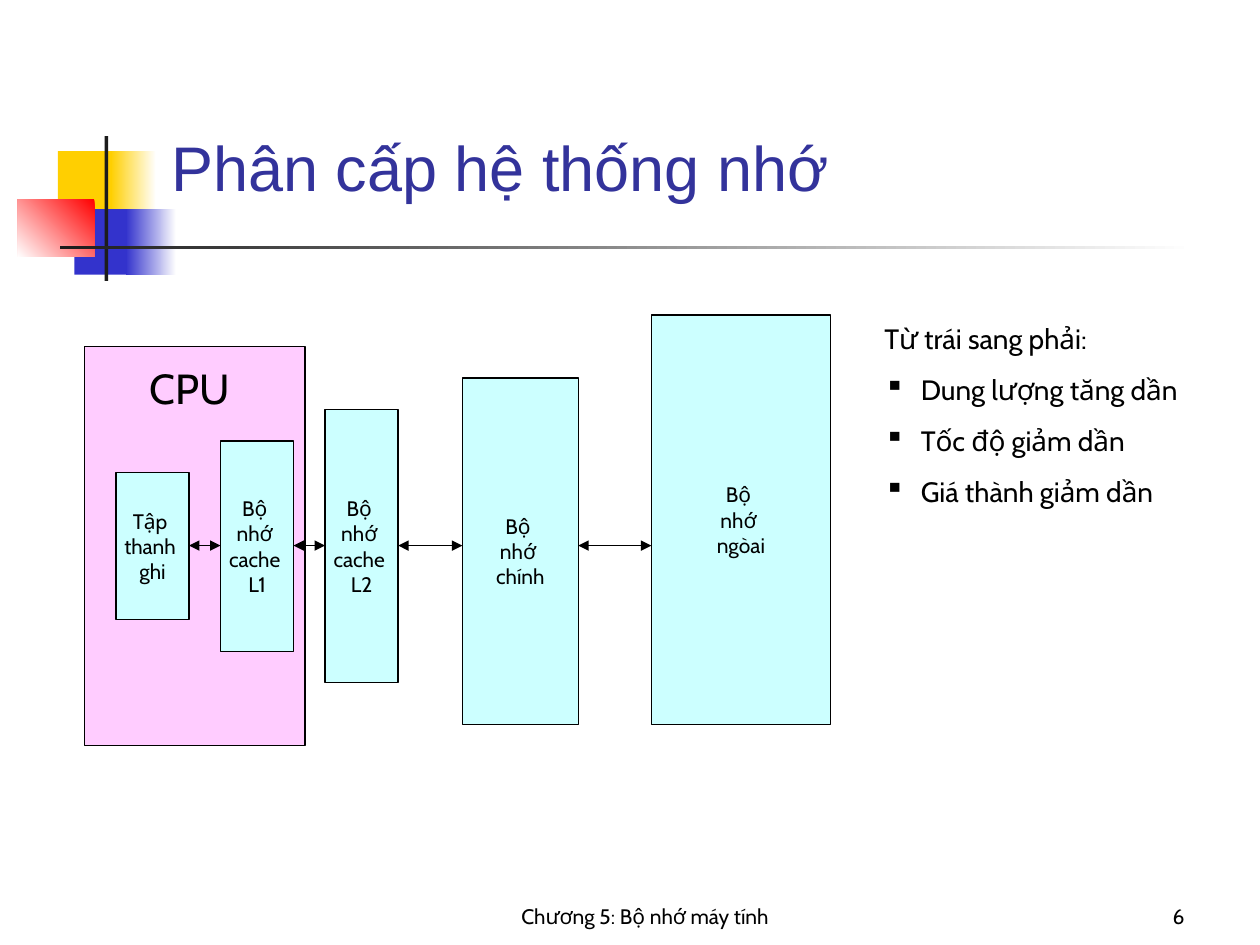
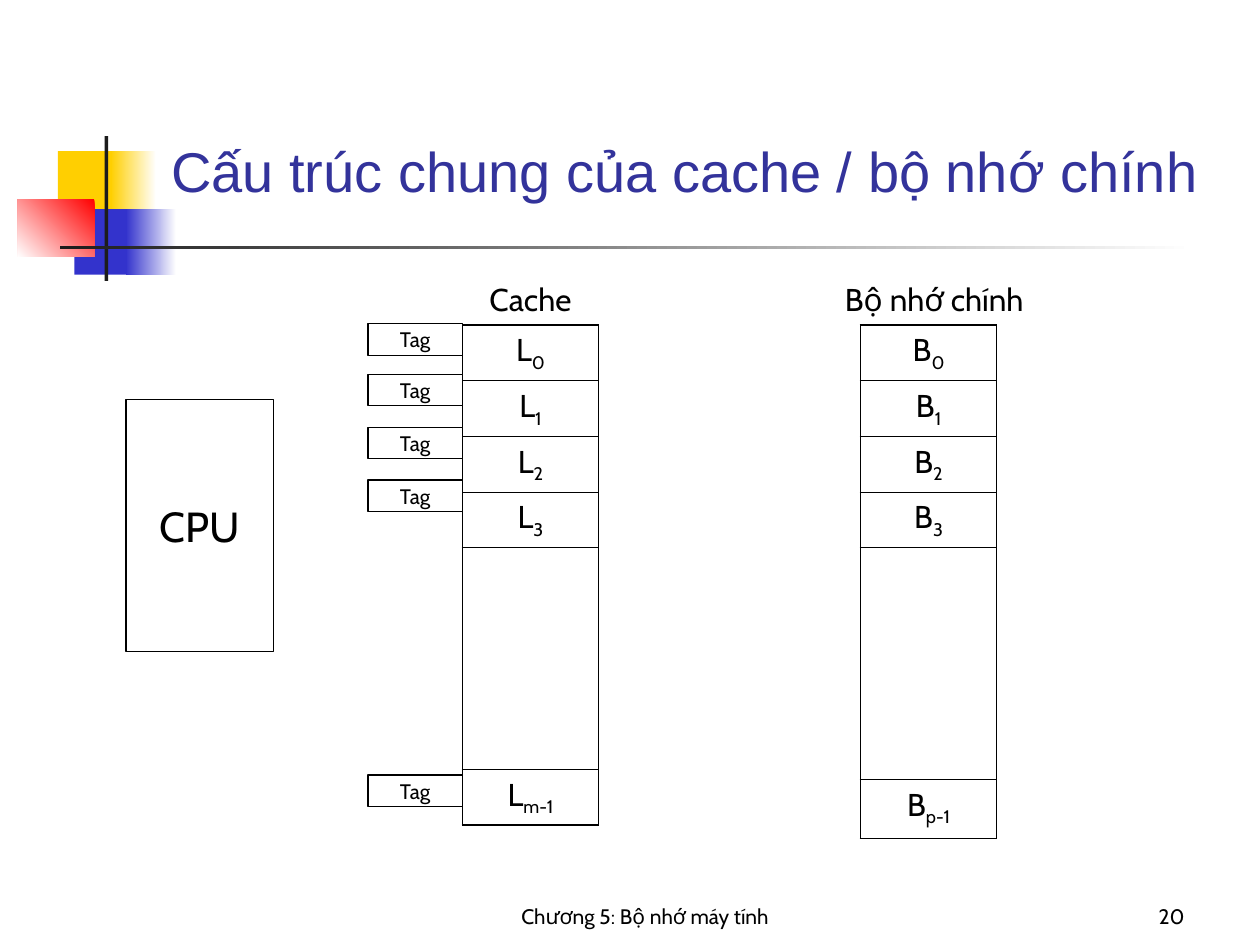
from itertools import pairwise

from lxml import etree
from pptx import Presentation
from pptx import util as u
from pptx.dml.color import RGBColor
from pptx.enum import shapes, text
from pptx.oxml import parse_xml
from pptx.oxml.ns import qn

COLORS = {
    "yellow": "FFCF01", "blue": "3333CC", "red": "FF0000", "bar": "1C1C1C",
    "title": "33339B", "black": "000000", "white": "FFFFFF",
    "cpu": "FFCCFF", "memory": "CCFFFF",
}
RGB = {name: RGBColor.from_string(value) for name, value in COLORS.items()}
BODY_FONT = "Cabin"
LEFT, CENTER, RIGHT = text.PP_ALIGN.LEFT, text.PP_ALIGN.CENTER, text.PP_ALIGN.RIGHT
TOP, MIDDLE, BOTTOM = text.MSO_ANCHOR.TOP, text.MSO_ANCHOR.MIDDLE, text.MSO_ANCHOR.BOTTOM
NS = "http://schemas.openxmlformats.org/drawingml/2006/main"


def add_block(slide, area, fill, lines=(), size=12):
    """Outlined rectangle with centred lines of text."""
    block = slide.shapes.add_shape(shapes.MSO_SHAPE.RECTANGLE, *map(u.Inches, area))
    block.shadow.inherit = False
    block.fill.solid()
    block.fill.fore_color.rgb = RGB[fill]
    block.line.color.rgb = RGB["black"]
    block.line.width = u.Pt(0.75)
    frame = block.text_frame
    frame.word_wrap = False
    frame.vertical_anchor = MIDDLE
    frame.text = "\n".join(lines)
    for paragraph in frame.paragraphs:
        paragraph.alignment = CENTER
        paragraph.font.name = BODY_FONT
        paragraph.font.size = u.Pt(size)
        paragraph.font.color.rgb = RGB["black"]


def add_text(slide, area, lines, size, align=LEFT, anchor=TOP, before=0,
             font=BODY_FONT, color="black"):
    frame = slide.shapes.add_textbox(*map(u.Inches, area)).text_frame
    frame.word_wrap = True
    frame.vertical_anchor = anchor
    frame.text = "\n".join(lines)
    for paragraph in frame.paragraphs:
        paragraph.alignment = align
        paragraph.space_before = u.Pt(before)
        paragraph.font.name = font
        paragraph.font.size = u.Pt(size)
        paragraph.font.color.rgb = RGB[color]
    return frame


prs = Presentation()
prs.slide_width, prs.slide_height = u.Inches(10), u.Inches(7.5)

# Shared design: area, start colour, end colour, angle
ornaments = [
    ((0.46, 1.2, 0.48, 0.52), "yellow", None, 0),
    ((0.88, 1.2, 0.36, 0.52), "white", "yellow", 180),
    ((0.59, 1.66, 0.46, 0.52), "blue", None, 0),
    ((1, 1.66, 0.4, 0.52), "white", "blue", 180),
    ((0.14, 1.58, 0.61, 0.46), "red", "white", 225),
    ((0.83, 1.08, 0.03, 1.15), "bar", None, 0),
    ((0.48, 1.95, 9, 0.03), "white", "bar", 180),
]
pages = []
for title, title_size, number in [
    ("Phân cấp hệ thống nhớ", 36, "6"),
    ("Cấu trúc chung của cache / bộ nhớ chính", 32, "20"),
]:
    slide = prs.slides.add_slide(prs.slide_layouts[6])
    for area, start, end, angle in ornaments:
        ornament = slide.shapes.add_shape(shapes.MSO_SHAPE.RECTANGLE, *map(u.Inches, area))
        ornament.shadow.inherit = False
        ornament.line.fill.background()
        if end:
            ornament.fill.gradient()
            ornament.fill.gradient_angle = angle
            for stop, color, position in zip(ornament.fill.gradient_stops, (start, end), (0, 1)):
                stop.color.rgb = RGB[color]
                stop.position = position
        else:
            ornament.fill.solid()
            ornament.fill.fore_color.rgb = RGB[start]
    add_text(slide, (1.26, 1, 8.52, 0.67), [title], title_size,
             anchor=BOTTOM, font="Arial", color="title")
    add_text(slide, (2.08, 6.92, 6.08, 0.5), ["Chương 5: Bộ nhớ máy tính"], 12, CENTER, BOTTOM)
    add_text(slide, (8.33, 6.92, 1.17, 0.5), [number], 12, RIGHT, BOTTOM)
    pages.append(slide)
hierarchy, structure = pages

# Memory hierarchy
add_block(hierarchy, (0.67, 2.75, 1.75, 3.17), "cpu")
levels = [
    ((0.92, 3.75, 0.58, 1.17), ["Tập ", "thanh ", "ghi"]),
    ((1.75, 3.5, 0.58, 1.67), ["Bộ ", "nhớ ", "cache ", "L1"]),
    ((2.58, 3.25, 0.58, 2.17), ["Bộ ", "nhớ ", "cache ", "L2"]),
    ((3.67, 3, 0.92, 2.75), ["Bộ ", "nhớ ", "chính"]),
    ((5.17, 2.5, 1.42, 3.25), ["Bộ ", "nhớ ", "ngòai"]),
]
for area, label in levels:
    add_block(hierarchy, area, "memory", label)
add_text(hierarchy, (0.92, 2.83, 1.17, 0.5), ["CPU"], 24, CENTER, before=15)

bus_y = u.Inches(4.33)
for (near, _), (far, _) in pairwise(levels):
    bus = hierarchy.shapes.add_connector(
        shapes.MSO_CONNECTOR.STRAIGHT,
        u.Inches(near[0] + near[2]), bus_y, u.Inches(far[0]), bus_y)
    bus.line.color.rgb = RGB["black"]
    bus.line.width = u.Pt(0.75)
    outline = bus.line._get_or_add_ln()
    for arrowhead in ("a:headEnd", "a:tailEnd"):
        etree.SubElement(outline, qn(arrowhead), type="triangle")
    etree.SubElement(bus._element.spPr, qn("a:effectLst"))

trends = add_text(hierarchy, (6.92, 2.5, 2.67, 1.59), [
    "Từ trái sang phải:",
    "Dung lượng tăng dần",
    "Tốc độ giảm dần",
    "Giá thành giảm dần",
], 16, before=10)
for trend in trends.paragraphs[1:]:
    props = trend._p.get_or_add_pPr()
    props.set("marL", str(u.Inches(0.29)))
    props.set("indent", str(-u.Inches(0.29)))
    bullet = parse_xml(f'<a:buChar xmlns:a="{NS}" char="▪"/>')
    props.insert_element_before(bullet, "a:tabLst", "a:defRPr", "a:extLst")

# Cache and main memory
add_block(structure, (1, 3.17, 1.17, 2), "white", ["CPU"], 24)
stores = [
    (3.67, "L", "m-1", 1.76, 0.44, "Cache", (3.5, 2.17, 1.42, 0.4)),
    (6.83, "B", "p-1", 1.84, 0.47, "Bộ nhớ chính", (6.5, 2.17, 1.83, 0.4)),
]
for left, letter, last, gap, last_height, heading, heading_area in stores:
    heights = [0.44] * 4 + [gap, last_height]
    subscripts = ["0", "1", "2", "3", None, last]
    table = structure.shapes.add_table(
        len(heights), 1, u.Inches(left), u.Inches(2.58),
        u.Inches(1.08), u.Inches(sum(heights))).table
    table.first_row = table.horz_banding = False
    for row, (height, subscript) in enumerate(zip(heights, subscripts)):
        table.rows[row].height = u.Inches(height)
        cell = table.cell(row, 0)
        borders = {
            "lnL": 1.08, "lnR": 1.08,
            "lnT": 1.08 if row == 0 else 0.45,
            "lnB": 1.08 if row == len(heights) - 1 else 0.45,
        }
        for side, width in borders.items():
            cell._tc.get_or_add_tcPr().append(parse_xml(
                f'<a:{side} xmlns:a="{NS}" w="{u.Pt(width)}"><a:solidFill>'
                f'<a:srgbClr val="{COLORS["black"]}"/></a:solidFill></a:{side}>'))
        cell.fill.background()
        if subscript is None:
            continue
        name = cell.text_frame.paragraphs[0]
        name.alignment = CENTER
        name.space_before = u.Pt(4.5)
        name.font.name = BODY_FONT
        name.font.size = u.Pt(18)
        name.font.color.rgb = RGB["black"]
        name.add_run().text = letter
        index = name.add_run()
        index.text = subscript
        index._r.get_or_add_rPr().set("baseline", "-25000")
    add_text(structure, heading_area, [heading], 18, CENTER, before=11.2)

for tag_top in (2.57, 2.97, 3.39, 3.81, 6.15):
    add_block(structure, (2.92, tag_top, 0.75, 0.25), "white", ["Tag"])

prs.save("out.pptx")
